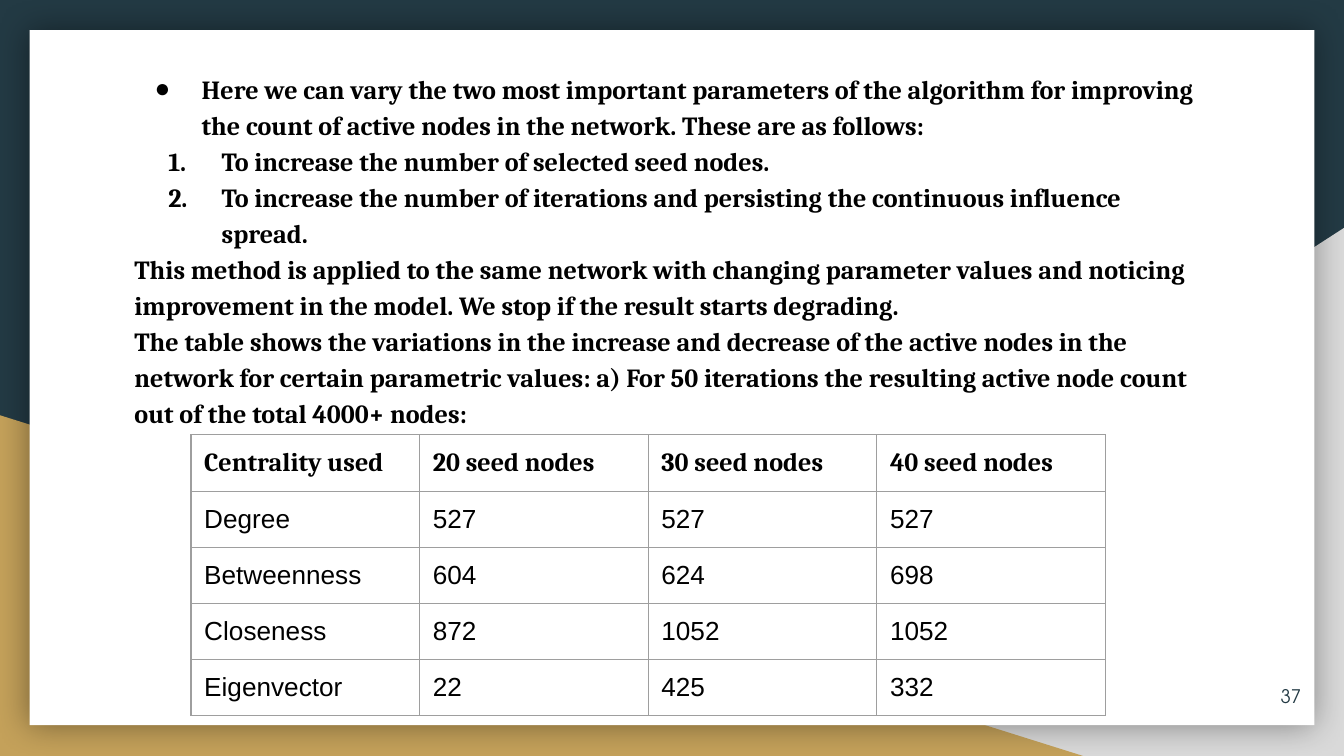
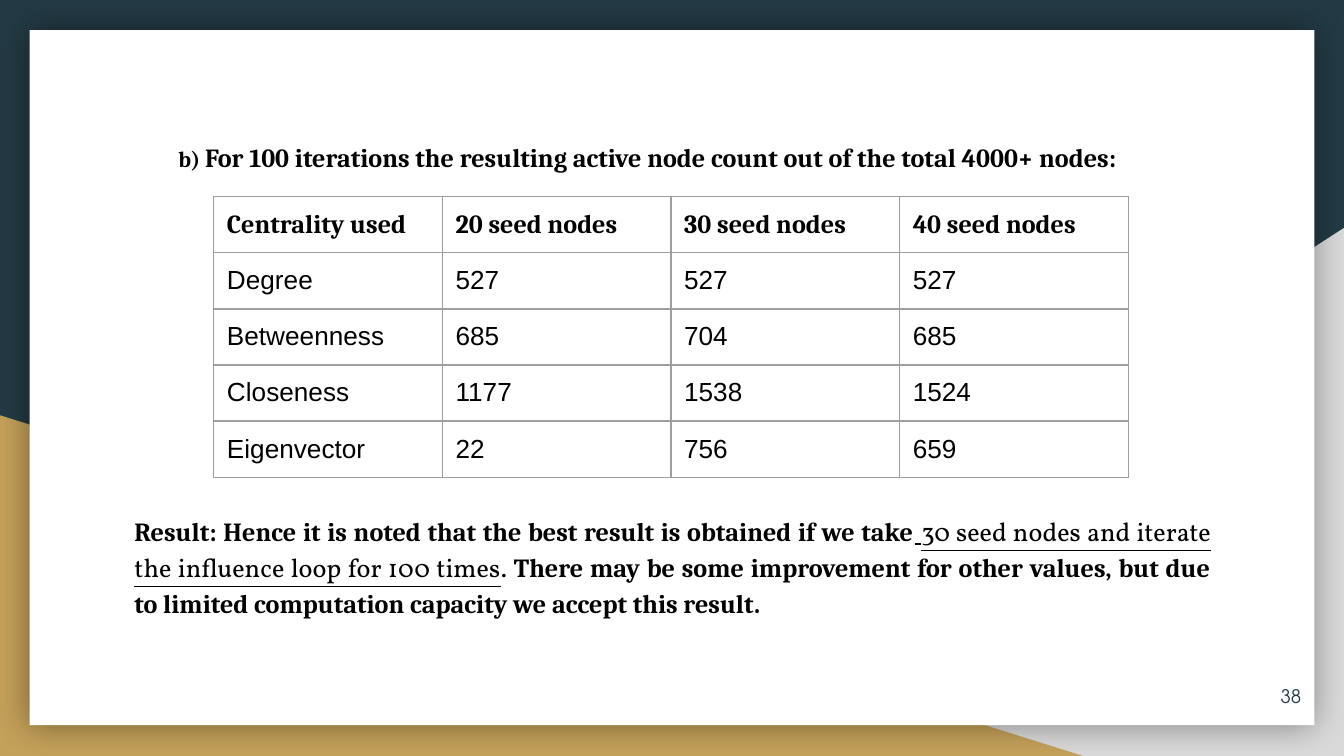
from lxml import etree
from pptx import Presentation
from pptx.dml.color import RGBColor
from pptx.enum.shapes import MSO_SHAPE
from pptx.enum.text import MSO_ANCHOR, MSO_AUTO_SIZE, PP_ALIGN
from pptx.oxml.ns import qn
from pptx.util import Cm, Pt

LEFT, RIGHT, JUSTIFY = PP_ALIGN.LEFT, PP_ALIGN.RIGHT, PP_ALIGN.JUSTIFY
TOP, MIDDLE = MSO_ANCHOR.TOP, MSO_ANCHOR.MIDDLE
TRIANGLE, RECTANGLE = MSO_SHAPE.RIGHT_TRIANGLE, MSO_SHAPE.RECTANGLE

# Shared look
NAVY, GREY, GOLD, WHITE, BLACK = "233A44", "D9D9D9", "C4A15A", "FFFFFF", "000000"
BORDER = "9E9E9E"
SERIF, SANS, ACCENT, NUMBER_FONT = "Cambria", "Arial", "Vollkorn", "TeX Gyre Adventor"
INSET = 0.25
COL_W, ROW_H = 4.32, 1.06

# Backdrop: shape, box in cm, fill, flipped, shadowed
BACKDROP = [
    (TRIANGLE, (9.96, 4.31, 15.44, 9.98), GREY, True, False),
    (TRIANGLE, (0, 7.85, 20.47, 6.44), GOLD, False, False),
    (RECTANGLE, (0.56, 0.57, 24.28, 13.14), WHITE, False, True),
]
NUMBER_BOX = (23.32, 12.62, 1.52, 1.09)

# List styles: left margin, first-line indent (cm), bullet tag and attributes
PLAIN = (0, 0, "a:buNone", {})
BULLET = (1.27, -0.89, "a:buChar", {"char": "●"})
NUMBERED = (1.65, -1.01, "a:buAutoNum", {"type": "arabicPeriod"})
LETTERED = (0.83, 0, "a:buNone", {})

# Run styles: size, font, bold, underline
BOLD = (14, SERIF, True, False)
SMALL = (12, SERIF, True, False)
UNDERLINED = (14, SERIF, True, True)
FINDING = (14, ACCENT, False, True)
FINDING_END = (14, ACCENT, False, False)

# Content
HEADER = ["Centrality used", "20 seed nodes", "30 seed nodes", "40 seed nodes"]
SLIDES = [
    {
        "number": "37",
        "title": None,
        "body_box": (2.29, 1.04, 20.85, 11.1),
        "align": LEFT,
        "body": [
            (BULLET, [("Here we can vary the two most important parameters of the "
                       "algorithm for improving the count of active nodes in the "
                       "network. These are as follows:", BOLD)]),
            (NUMBERED, [("To increase the number of selected seed nodes.", BOLD)]),
            (NUMBERED, [("To increase the number of iterations and persisting the "
                         "continuous influence spread.", BOLD)]),
            (PLAIN, [("This method is applied to the same network with changing "
                      "parameter values and noticing improvement in the model. We "
                      "stop if the result starts degrading.", BOLD)]),
            (PLAIN, [("The table shows the variations in the increase and decrease of "
                      "the active nodes in the network for certain parametric values: "
                      "a) For 50 iterations the resulting active node count out of "
                      "the total 4000+ nodes:", BOLD)]),
        ],
        "table_at": (3.61, 8.22),
        "rows": [
            ("Degree", 527, 527, 527),
            ("Betweenness", 604, 624, 698),
            ("Closeness", 872, 1052, 1052),
            ("Eigenvector", 22, 425, 332),
        ],
    },
    {
        "number": "38",
        "title": [(LETTERED, [
            ("b) ", SMALL),
            ("For 100 iterations the resulting active node count out of the total "
             "4000+ nodes:", BOLD)])],
        "body_box": (2.29, 9.4, 20.85, 2.92),
        "align": JUSTIFY,
        "body": [(PLAIN, [
            ("Result: Hence it is noted that the best result is obtained if we take",
             BOLD),
            (" ", UNDERLINED),
            ("30 seed nodes and iterate the influence loop for 100 times", FINDING),
            (".", FINDING_END),
            (" There may be some improvement for other values, but due to limited "
             "computation capacity we accept this result.", BOLD)])],
        "table_at": (4.04, 3.71),
        "rows": [
            ("Degree", 527, 527, 527),
            ("Betweenness", 685, 704, 685),
            ("Closeness", 1177, 1538, 1524),
            ("Eigenvector", 22, 756, 659),
        ],
    },
]
TITLE_BOX = (2.29, 2.34, 20.85, 2.64)


def rgb(color):
    return RGBColor.from_string(color)


def sub(parent, tag, **attrs):
    return etree.SubElement(parent, qn(tag), attrs)


def place(shape, box):
    shape.left, shape.top, shape.width, shape.height = (Cm(v) for v in box)


def style_run(r, size, font, bold=False, underline=False, color=BLACK):
    r.font.size, r.font.name = Pt(size), font
    r.font.bold, r.font.underline = bold, underline
    r.font.color.rgb = rgb(color)


def set_frame(tf, anchor):
    tf.word_wrap = True
    tf.auto_size = MSO_AUTO_SIZE.NONE
    tf.vertical_anchor = anchor
    tf.margin_left = tf.margin_right = tf.margin_top = tf.margin_bottom = Cm(INSET)


def fill_placeholder(sp, box, paragraphs, align):
    place(sp, box)
    tf = sp.text_frame
    set_frame(tf, TOP)
    for i, ((margin, indent, tag, attrs), runs) in enumerate(paragraphs):
        p = tf.paragraphs[0] if i == 0 else tf.add_paragraph()
        p.alignment, p.line_spacing = align, 1.15
        p.space_before = p.space_after = Pt(0)
        pPr = p._p.get_or_add_pPr()
        pPr.set("marL", str(Cm(margin)))
        pPr.set("indent", str(Cm(indent)))
        if tag != "a:buNone":
            sub(sub(pPr, "a:buClr"), "a:srgbClr", val=BLACK)
        sub(pPr, tag, **attrs)
        for text, style in runs:
            r = p.add_run()
            r.text = text
            style_run(r, *style)


def add_backdrop(s, layout):
    """Draw the shared shapes and move them behind the layout's placeholders."""
    layout.background.fill.solid()
    layout.background.fill.fore_color.rgb = rgb(NAVY)
    for i, (kind, box, color, flipped, shadowed) in enumerate(BACKDROP):
        sp = s.shapes.add_shape(kind, *(Cm(v) for v in box))
        sp.shadow.inherit = False
        sp.fill.solid()
        sp.fill.fore_color.rgb = rgb(color)
        sp.line.fill.background()
        spPr = sp.element.spPr
        if flipped:
            spPr.find(qn("a:xfrm")).set("flipH", "1")
        if shadowed:
            shadow = sub(spPr.find(qn("a:effectLst")), "a:outerShdw",
                         blurRad=str(Pt(18)), dist="0", dir="0", rotWithShape="0")
            sub(sub(shadow, "a:srgbClr", val=BLACK), "a:alpha", val="40000")
        layout.shapes.element.insert(2 + i, sp.element)


def add_number(s, number):
    sp = s.shapes.add_textbox(*(Cm(v) for v in NUMBER_BOX))
    set_frame(sp.text_frame, MIDDLE)
    sp.text_frame.text = number
    p = sp.text_frame.paragraphs[0]
    p.alignment = RIGHT
    style_run(p.runs[0], 10, NUMBER_FONT, color=NAVY)


def add_results(s, at, rows):
    grid = [HEADER, *rows]
    size = COL_W * len(HEADER), ROW_H * len(grid)
    table = s.shapes.add_table(len(grid), len(HEADER),
                               *(Cm(v) for v in (*at, *size))).table
    table.first_row = table.horz_banding = False
    for column in table.columns:
        column.width = Cm(COL_W)
    for i, values in enumerate(grid):
        table.rows[i].height = Cm(ROW_H)
        for j, value in enumerate(values):
            cell = table.cell(i, j)
            cell.margin_left = cell.margin_right = Cm(INSET)
            cell.margin_top = cell.margin_bottom = Cm(INSET)
            tcPr = cell._tc.get_or_add_tcPr()
            for edge in ("a:lnL", "a:lnR", "a:lnT", "a:lnB"):
                ln = sub(tcPr, edge, w=str(Pt(0.75)))
                sub(sub(ln, "a:solidFill"), "a:srgbClr", val=BORDER)
            cell.fill.background()
            cell.text_frame.text = str(value)
            style_run(cell.text_frame.paragraphs[0].runs[0], 14,
                      SERIF if i == 0 else SANS, bold=i == 0)


def main():
    prs = Presentation()
    prs.slide_width, prs.slide_height = Cm(25.4), Cm(14.29)
    layout = prs.slide_layouts[1]
    for i, content in enumerate(SLIDES):
        s = prs.slides.add_slide(layout)
        if i == 0:
            add_backdrop(s, layout)
        title, body = s.placeholders
        if content["title"]:
            fill_placeholder(title, TITLE_BOX, content["title"], LEFT)
        else:
            s.shapes.element.remove(title.element)
        fill_placeholder(body, content["body_box"], content["body"], content["align"])
        add_number(s, content["number"])
        add_results(s, content["table_at"], content["rows"])
    prs.save("out.pptx")


if __name__ == "__main__":
    main()
